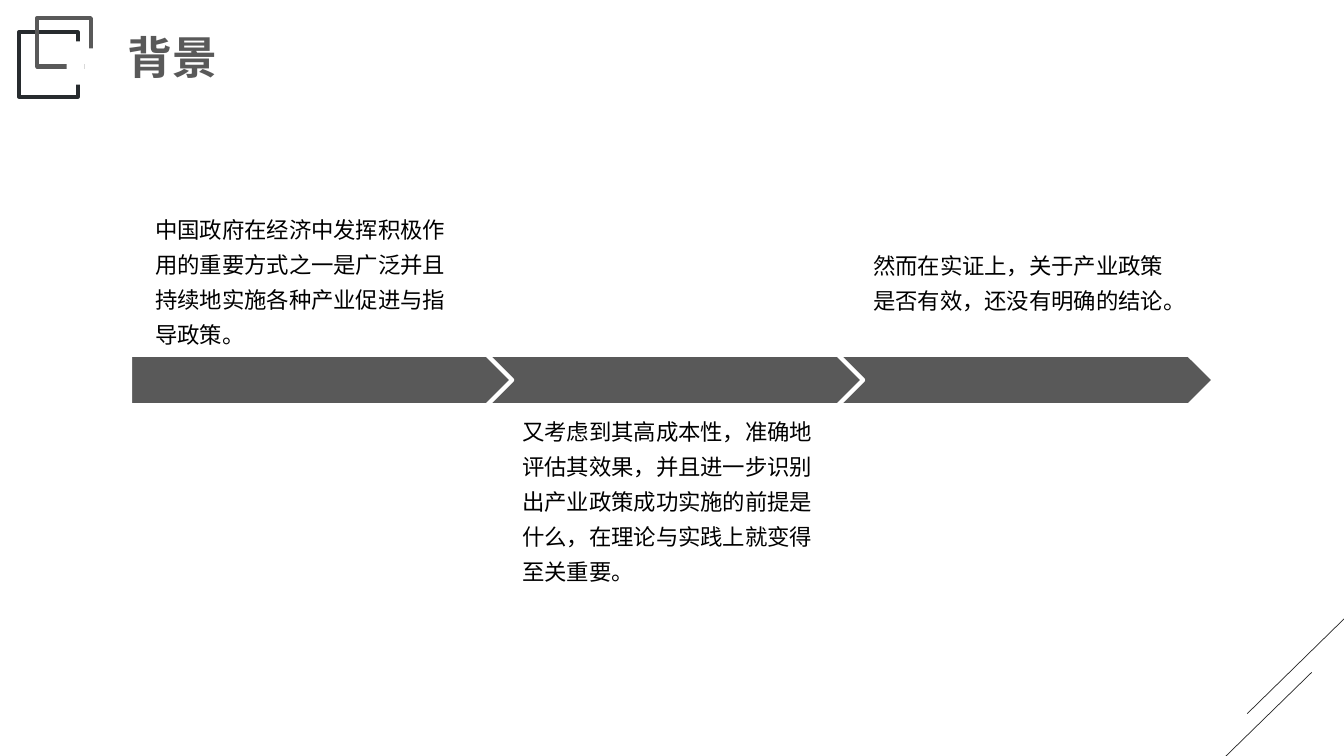
from lxml.etree import SubElement
from pptx import Presentation
from pptx.dml.color import RGBColor
from pptx.enum.shapes import MSO_CONNECTOR as Connector, MSO_SHAPE as Shape
from pptx.enum.text import MSO_AUTO_SIZE as AutoSize, PP_ALIGN as Align
from pptx.oxml.ns import qn
from pptx.util import Inches, Pt

WIDTH, HEIGHT = Inches(13.33), Inches(7.5)
COLORS = {
    "grey": "595959",
    "ink": "272B2E",
    "line": "262626",
    "text": "000000",
    "white": "FFFFFF",
}

# All positions are percentages of the slide: left, top, width, height.
STEP_COUNT, STEP_LEFT, STEP_PITCH = 3, 9.68, 26.11
STEP_TOP, STEP_WIDTH, STEP_HEIGHT = 46.93, 28.43, 6.67
STEP_TEXTS = [
    ("中国政府在经济中发挥积极作用的重要方式之一是广泛并且持续地实施各种产业促进与指导政策。",
     (10.8, 26.93, 23.56, 20)),
    ("然而在实证上，关于产业政策是否有效，还没有明确的结论。",
     (64.22, 31.6, 24.01, 10.67)),
    ("又考虑到其高成本性，准确地评估其效果，并且进一步识别出产业政策成功实施的前提是什么，在理论与实践上就变得至关重要。",
     (38.11, 53.6, 23.78, 24.67)),
]
CORNER_LINES = [(91.22, 100, 97.6, 88.93), (92.8, 94.4, 100, 81.87)]
FRAMES = [((1.43, 4.27, 4.35, 8.53), "ink"), ((2.78, 2.4, 3.98, 6.4), "grey")]
FRAME_GAPS = [(4.95, 5.47, 1.35, 5.73), (6.3, 6.4, 1.35, 5.73)]


def to_slide(area):
    """Turn alternating x and y percentages into slide lengths."""
    return [round(share * (HEIGHT if index % 2 else WIDTH) / 100)
            for index, share in enumerate(area)]


def color(name):
    return RGBColor.from_string(COLORS[name])


def add_block(page, kind, area, fill=None, outline=None):
    block = page.shapes.add_shape(kind, *to_slide(area))
    block.shadow.inherit = False
    if fill:
        block.fill.solid()
        block.fill.fore_color.rgb = color(fill)
    else:
        block.fill.background()
    if outline:
        block.line.color.rgb = color(outline)
        block.line.width = Pt(3)
    else:
        block.line.fill.background()


def add_text(page, text, area, size, font, ink, bold=False, wrap=True, spacing=None):
    box = page.shapes.add_textbox(*to_slide(area))
    frame = box.text_frame
    frame.text = text
    frame.word_wrap = wrap
    frame.auto_size = AutoSize.SHAPE_TO_FIT_TEXT
    para = frame.paragraphs[0]
    para.alignment = Align.LEFT
    para.line_spacing = spacing
    span = para.runs[0]
    span.font.name = font
    span.font.size = Pt(size)
    span.font.bold = bold
    span.font.color.rgb = color(ink)


def add_corner_line(page, ends):
    line = page.shapes.add_connector(Connector.STRAIGHT, *to_slide(ends))
    line.line.color.rgb = color("line")
    line.line.width = Pt(0.5)
    SubElement(line._element.spPr, qn("a:effectLst"))


def add_steps(page):
    """Draw the arrow band from right to left, so each tip overlaps the next step."""
    for step in reversed(range(STEP_COUNT)):
        left = STEP_LEFT + step * STEP_PITCH
        add_block(page, Shape.PENTAGON, (left, STEP_TOP, STEP_WIDTH, STEP_HEIGHT),
                  "grey", "white")
    for text, area in STEP_TEXTS:
        add_text(page, text, area, 16, "Calibri", "text", spacing=1.3)


def add_heading(page):
    add_text(page, "背景", (8.78, 3.33, 8.18, 8.53), 32, "Arial", "grey",
             bold=True, wrap=False)
    for area, outline in FRAMES:
        add_block(page, Shape.RECTANGLE, area, outline=outline)
    for area in FRAME_GAPS:
        add_block(page, Shape.RECTANGLE, area, fill="white")


def main():
    deck = Presentation()
    deck.slide_width, deck.slide_height = WIDTH, HEIGHT
    page = deck.slides.add_slide(deck.slide_layouts[6])
    for ends in CORNER_LINES:
        add_corner_line(page, ends)
    add_steps(page)
    add_heading(page)
    deck.save("out.pptx")


if __name__ == "__main__":
    main()
